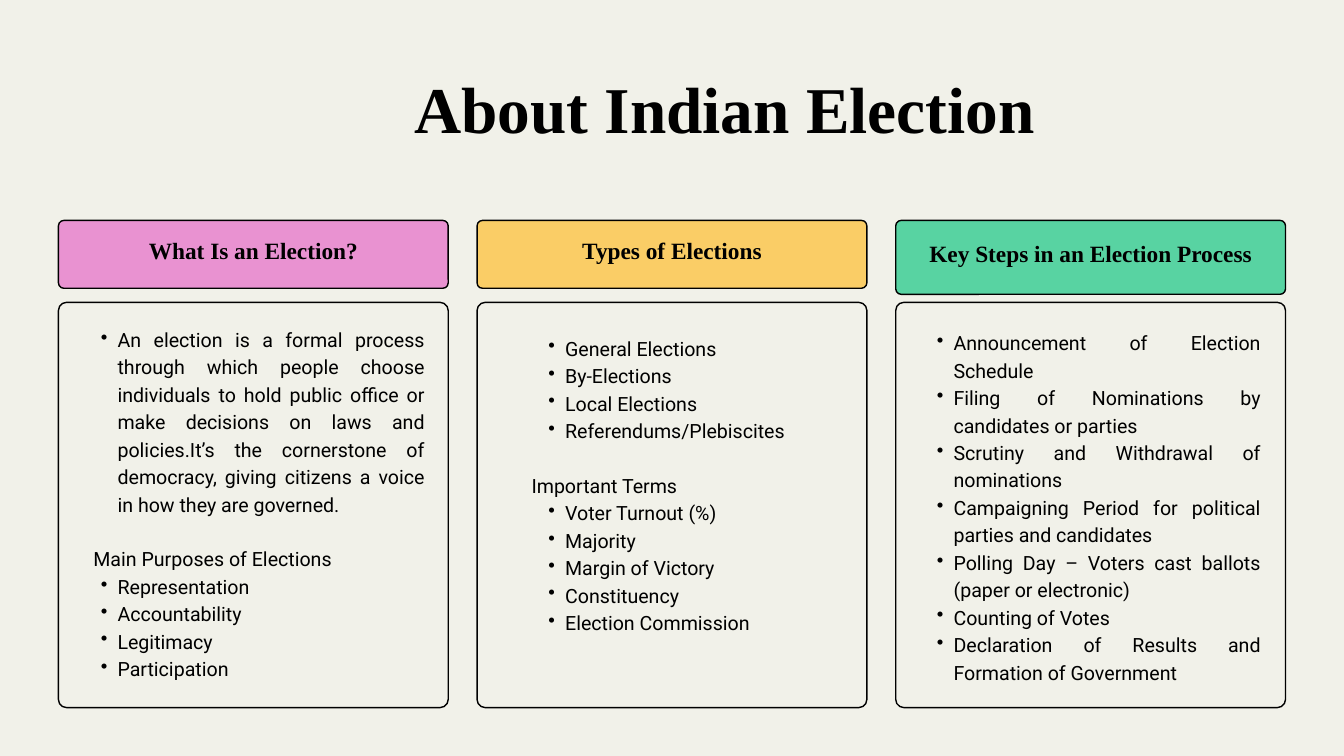
import dataclasses

import lxml.etree
import pptx
import pptx.dml.color
import pptx.enum.shapes
import pptx.enum.text
import pptx.oxml.ns
import pptx.util

Inches = pptx.util.Inches
Pt = pptx.util.Pt
Align = pptx.enum.text.PP_ALIGN
Anchor = pptx.enum.text.MSO_ANCHOR


@dataclasses.dataclass(frozen=True)
class Theme:
    paper: str = "F1F1E9"
    ink: str = "000000"
    pink: str = "E992D1"
    gold: str = "FACD66"
    green: str = "58D3A2"
    serif: str = "Times New Roman"
    sans: str = "Roboto"
    title: float = 70
    head: float = 25
    body: float = 21
    lead: float = 29.4


THEME = Theme()
LEFT, WIDE, PITCH = 0.87, 5.8, 6.23
HEAD_TOP, CARD_TOP, CARD_TALL = 3.28, 4.5, 6.03

# Each column: heading, colour, heading height, text box (x and y in the card,
# width, height), indent of subheads, and groups of (subhead, bullets).
COLUMNS = [
    ("What Is an Election?", THEME.pink, 1.01, (0.38, 0.32, 5.07, 5.36), 0.14, [
        (None, [
            "An election is a formal process through which people choose "
            "individuals to hold public office or make decisions on laws and "
            "policies.It’s the cornerstone of democracy, giving citizens a "
            "voice in how they are governed.",
        ]),
        ("Main Purposes of Elections", [
            "Representation", "Accountability", "Legitimacy", "Participation",
        ]),
    ]),
    ("Types of Elections", THEME.gold, 1.01, (0.81, 0.45, 4.63, 5.28), 0, [
        (None, [
            "General Elections", "By-Elections", "Local Elections",
            "Referendums/Plebiscites",
        ]),
        ("Important Terms", [
            "Voter Turnout (%)", "Majority", "Margin of Victory",
            "Constituency", "Election Commission",
        ]),
    ]),
    ("Key Steps in an Election Process", THEME.green, 1.1, (0.36, 0.37, 5.07, 5.68), 0, [
        (None, [
            "Announcement of Election Schedule",
            "Filing of Nominations by candidates or parties",
            "Scrutiny and Withdrawal of nominations",
            "Campaigning Period for political parties and candidates",
            "Polling Day – Voters cast ballots (paper or electronic)",
            "Counting of Votes",
            "Declaration of Results and Formation of Government",
        ]),
    ]),
]


def paint(tone):
    return pptx.dml.color.RGBColor.from_string(tone)


def write(para, text, size, font, lead, align, bold=False, bullet=False, indent=0, before=0):
    para.alignment = align
    para.line_spacing = Pt(lead)
    para.space_before = Pt(before)
    props = para._p.get_or_add_pPr()
    if bullet:
        para.level = 1
        props.set("marL", str(Inches(0.5)))
        props.set("indent", str(Inches(-0.25)))
        mark = lxml.etree.SubElement(props, pptx.oxml.ns.qn("a:buChar"))
        mark.set("char", "•")
    elif indent:
        props.set("marL", str(Inches(indent)))
    run = para.add_run()
    run.text = text
    run.font.size = Pt(size)
    run.font.name = font
    run.font.bold = bold
    run.font.color.rgb = paint(THEME.ink)


def inset(frame, side=0, top=0, bottom=0):
    frame.word_wrap = True
    frame.margin_left = frame.margin_right = Inches(side)
    frame.margin_top = Inches(top)
    frame.margin_bottom = Inches(bottom)


def add_text(slide, box):
    frame = slide.shapes.add_textbox(*map(Inches, box)).text_frame
    inset(frame)
    return frame


def add_panel(slide, box, fill, radius):
    kind = pptx.enum.shapes.MSO_SHAPE.ROUNDED_RECTANGLE
    panel = slide.shapes.add_shape(kind, *map(Inches, box))
    panel.adjustments[0] = radius / min(box[2:])
    panel.shadow.inherit = False
    panel.fill.solid()
    panel.fill.fore_color.rgb = paint(fill)
    panel.line.color.rgb = paint(THEME.ink)
    panel.line.width = Pt(1.5)
    return panel


def add_title(slide, box, text):
    write(add_text(slide, box).paragraphs[0], text, THEME.title, THEME.serif,
          79.8, Align.CENTER, bold=True)


def add_head(slide, box, text, fill):
    frame = add_panel(slide, box, fill, 0.08).text_frame
    inset(frame, side=0.06, top=0.06, bottom=0.25)
    frame.vertical_anchor = Anchor.MIDDLE
    write(frame.paragraphs[0], text, THEME.head, THEME.serif, 35,
          Align.CENTER, bold=True)


def add_card(slide, box, area, indent, groups):
    """Draw a card and its bullet groups; area is relative to the card."""
    left, top = box[:2]
    add_panel(slide, box, THEME.paper, 0.12)
    x, y, wide, tall = area
    frame = add_text(slide, (left + x, top + y, wide, tall))
    para = frame.paragraphs[0]
    style = dict(size=THEME.body, font=THEME.sans, lead=THEME.lead, align=Align.JUSTIFY)
    for subhead, items in groups:
        if subhead:
            write(frame.add_paragraph(), subhead, indent=indent, before=THEME.lead, **style)
        for item in items:
            write(para or frame.add_paragraph(), item, bullet=True, **style)
            para = None


def main():
    deck = pptx.Presentation()
    deck.slide_width, deck.slide_height = Inches(20), Inches(11.25)
    slide = deck.slides.add_slide(deck.slide_layouts[6])
    slide.background.fill.solid()
    slide.background.fill.fore_color.rgb = paint(THEME.paper)
    add_title(slide, (2.68, 1.07, 16.2, 1.12), "About Indian Election")
    for index, (head, tone, tall, area, indent, groups) in enumerate(COLUMNS):
        left = LEFT + index * PITCH
        add_head(slide, (left, HEAD_TOP, WIDE, tall), head, tone)
        add_card(slide, (left, CARD_TOP, WIDE, CARD_TALL), area, indent, groups)
    deck.save("out.pptx")


if __name__ == "__main__":
    main()
